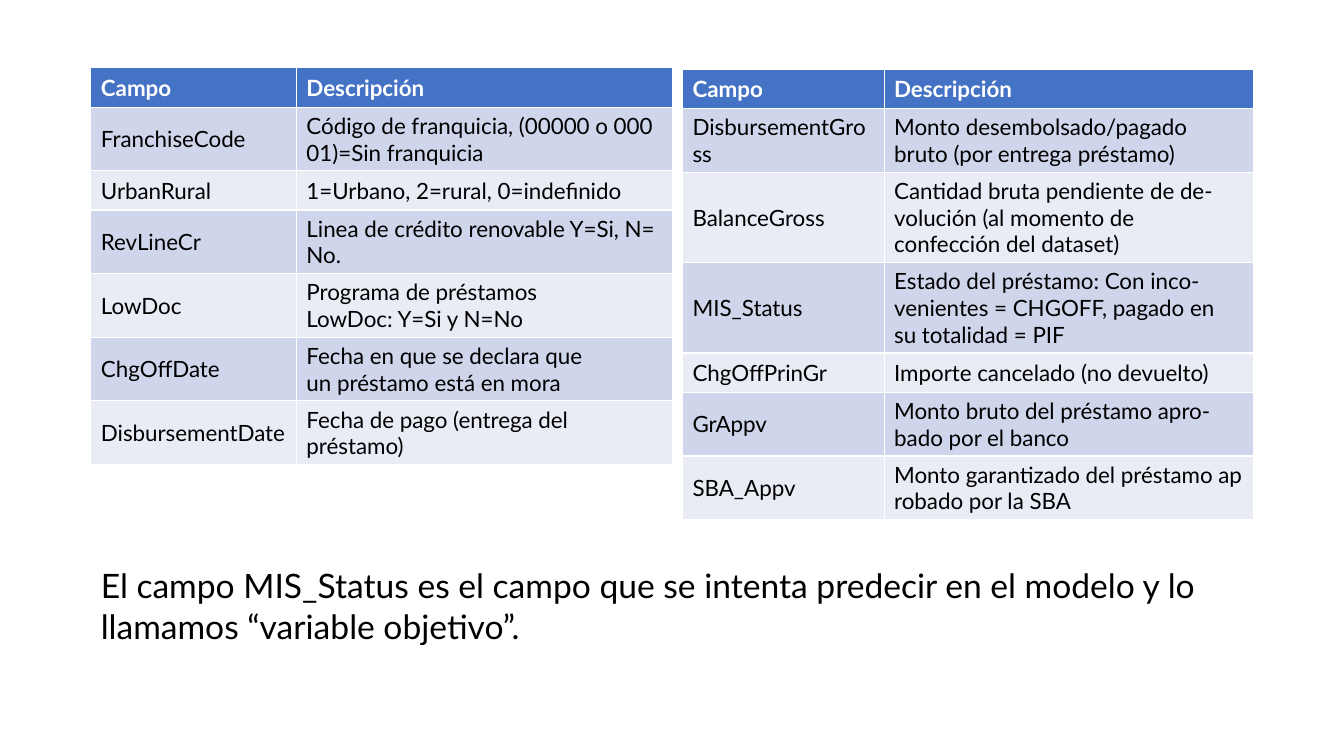
from dataclasses import dataclass

import pptx
import pptx.dml.color
import pptx.enum.text
import pptx.util

Cm = pptx.util.Cm
FONT = "Lato"
HEADER_FILL = "4472C4"
BAND_FILLS = ("CFD5EA", "E9EBF5")
HEADINGS = ("Campo", "Descripción")
ROW_HEIGHT = 0.99
NO_BREAK_SPACE = chr(160)


@dataclass
class FieldTable:
    left: float
    top: float
    height: float
    column_widths: tuple[float, float]
    fields: list[tuple[str, str]]


# In the descriptions "|" marks the one space where a line may break.
FIELD_TABLES = [
    FieldTable(2.29, 1.71, 10.03, (5.18, 9.47), [
        ("FranchiseCode", "Código de franquicia, (00000 o 00001)=Sin franquicia"),
        ("UrbanRural", "1=Urbano, 2=rural, 0=indefinido"),
        ("RevLineCr", "Linea de crédito renovable Y=Si, N=No."),
        ("LowDoc", "Programa de préstamos \nLowDoc: Y=Si y N=No"),
        ("ChgOffDate", "Fecha en que se declara que \nun préstamo está en mora"),
        ("DisbursementDate", "Fecha de pago (entrega del \npréstamo)"),
    ]),
    FieldTable(17.2, 1.75, 11.4, (5.08, 9.32), [
        ("DisbursementGross", "Monto desembolsado/pagado|bruto (por entrega préstamo)"),
        ("BalanceGross", "Cantidad bruta pendiente de de-volución (al momento de \n"
                         "confección del dataset)"),
        ("MIS_Status", "Estado del préstamo: Con inco-venientes = CHGOFF, pagado en \n"
                       "su totalidad = PIF"),
        ("ChgOffPrinGr", "Importe cancelado (no devuelto)"),
        ("GrAppv", "Monto bruto del préstamo apro-bado por el banco"),
        ("SBA_Appv", "Monto garantizado del préstamo aprobado por la SBA"),
    ]),
]
CONCLUSION = ("El campo MIS_Status es el campo que se intenta predecir en el modelo "
              "y lo llamamos “variable objetivo”.")


def color(value: str) -> pptx.dml.color.RGBColor:
    return pptx.dml.color.RGBColor.from_string(value)


def write(frame, text: str, size: float, ink: str = "000000", bold: bool = False) -> None:
    """Fill a text frame, one paragraph for each line of text."""
    for number, line in enumerate(text.split("\n")):
        para = frame.add_paragraph() if number else frame.paragraphs[0]
        span = para.add_run()
        span.text = line
        span.font.name = FONT
        span.font.size = pptx.util.Pt(size)
        span.font.bold = bold
        span.font.color.rgb = color(ink)


def draw_field_table(page, spec_table: FieldTable) -> None:
    rows = [HEADINGS, *spec_table.fields]
    frame = page.shapes.add_table(
        len(rows), len(HEADINGS), Cm(spec_table.left), Cm(spec_table.top),
        Cm(sum(spec_table.column_widths)), Cm(spec_table.height))
    table = frame.table
    for column, width in zip(table.columns, spec_table.column_widths):
        column.width = Cm(width)
    for number, texts in enumerate(rows):
        table.rows[number].height = Cm(ROW_HEIGHT)
        header = number == 0
        for cell, text in zip(table.rows[number].cells, texts):
            cell.vertical_anchor = pptx.enum.text.MSO_ANCHOR.MIDDLE
            cell.fill.solid()
            cell.fill.fore_color.rgb = color(
                HEADER_FILL if header else BAND_FILLS[(number - 1) % 2])
            text = text.replace(" ", NO_BREAK_SPACE).replace("|", " ")
            write(cell.text_frame, text, 16, "FFFFFF" if header else "000000", header)
    frame.height = Cm(spec_table.height)


def main() -> None:
    deck = pptx.Presentation()
    deck.slide_width, deck.slide_height = Cm(33.87), Cm(19.05)
    page = deck.slides.add_slide(deck.slide_layouts[6])
    for field_table in FIELD_TABLES:
        draw_field_table(page, field_table)
    box = page.shapes.add_textbox(Cm(2.29), Cm(14.12), Cm(29.31), Cm(6.4))
    box.text_frame.word_wrap = True
    write(box.text_frame, CONCLUSION, 24)
    deck.save("out.pptx")


if __name__ == "__main__":
    main()
